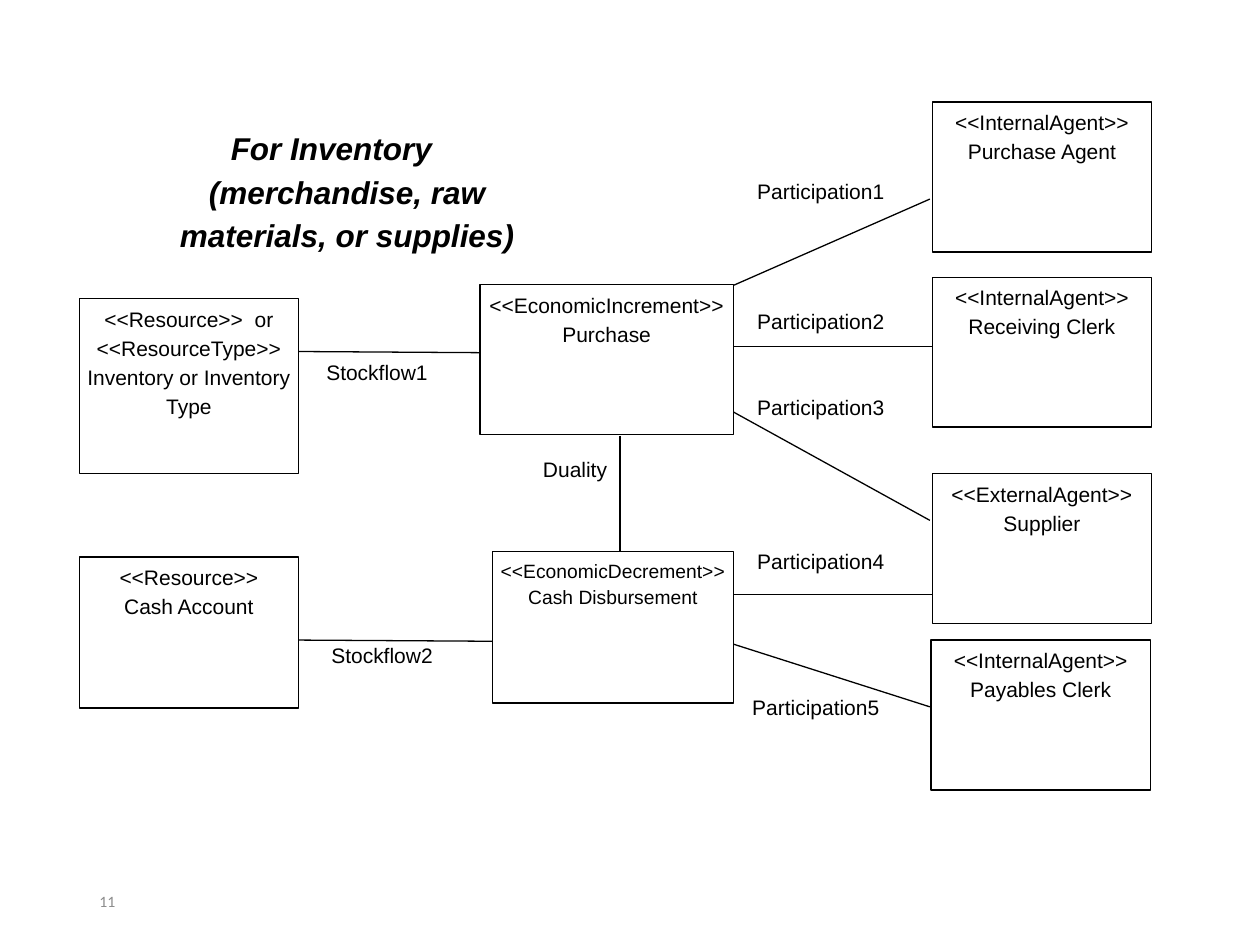
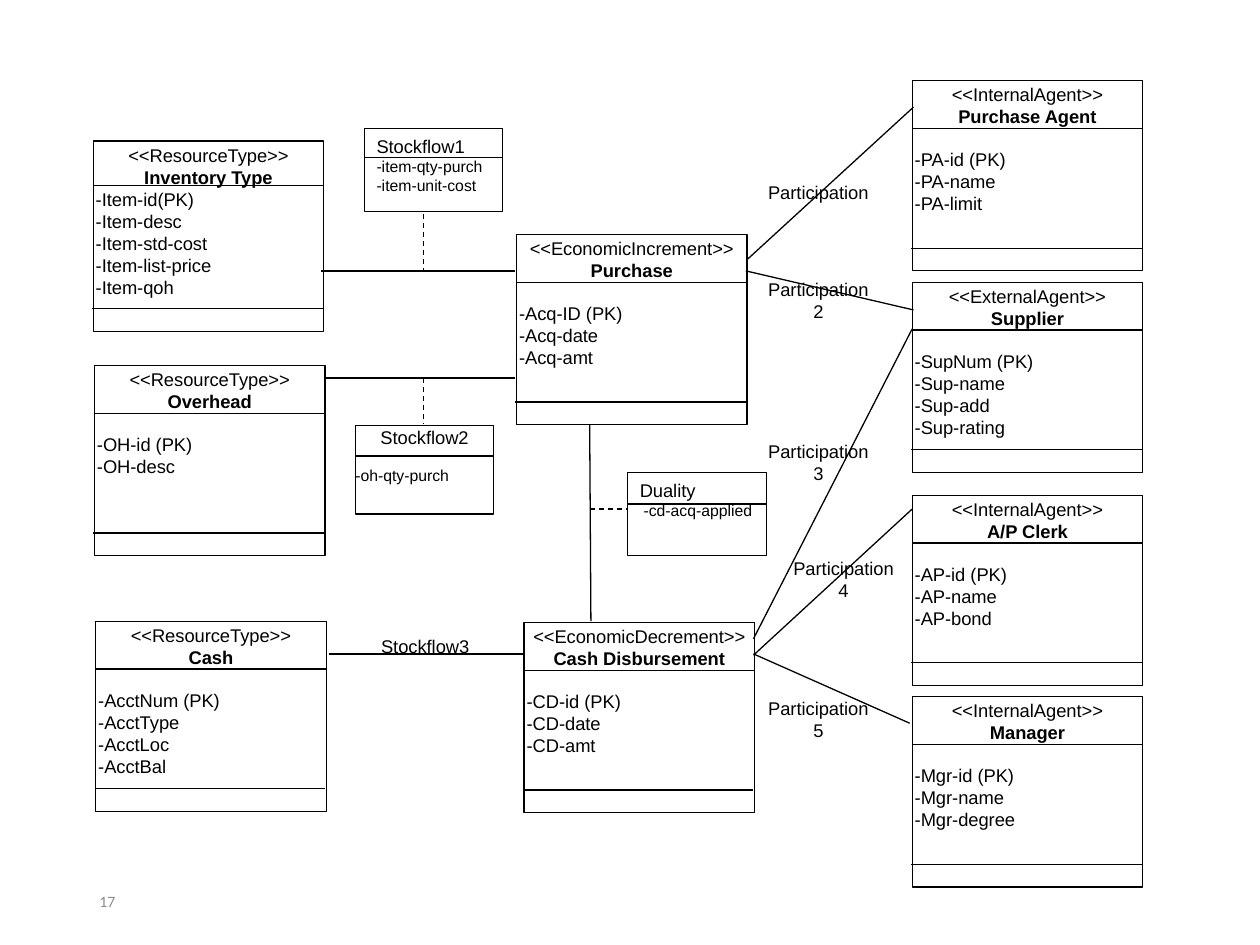
"""Build two slides modelling the acquisition cycle: an overview and a class diagram."""

from lxml.etree import SubElement
from pptx import Presentation
from pptx.dml.color import RGBColor
from pptx.enum.dml import MSO_LINE_DASH_STYLE as Dash
from pptx.enum.shapes import MSO_CONNECTOR as Connector, MSO_SHAPE as Preset
from pptx.enum.text import MSO_ANCHOR as Anchor, MSO_AUTO_SIZE as AutoSize, PP_ALIGN as Align
from pptx.oxml.ns import qn
from pptx.util import Inches, Pt

THEME = {
    "ink": RGBColor(0, 0, 0),
    "paper": RGBColor(255, 255, 255),
    "muted": RGBColor(0x8C, 0x8C, 0x8C),
    "border": 0.75,
    "thin": 0.5,
    "base": {"name": "Arial", "size": Pt(12), "bold": False, "italic": False,
             "alignment": Align.LEFT, "line_spacing": 1.0,
             "space_before": Pt(0), "space_after": Pt(0)},
    "title": {"size": Pt(18), "bold": True, "italic": True,
              "alignment": Align.CENTER, "line_spacing": 1.15},
    "number": {"name": "Calibri", "size": Pt(9)},
    "label": {"line_spacing": 1.15, "space_after": Pt(10)},
    "entity": {"alignment": Align.CENTER, "line_spacing": 1.15},
    "class": {"size": Pt(10.5)},
    "heading": {"size": Pt(10.5), "alignment": Align.CENTER},
    "detail": {"size": Pt(9)},
}


def add_block(slide, bounds, rows, insets, border=0, fill="paper", ink="ink",
              anchor=Anchor.TOP, holder=None):
    """Place a rectangle, or the given holder, and write its formatted rows."""
    block = holder or slide.shapes.add_shape(Preset.RECTANGLE, 0, 0, 0, 0)
    for side, value in zip(("left", "top", "width", "height"), bounds):
        setattr(block, side, Inches(value))
    if holder is None:
        block.shadow.inherit = False
    if fill:
        block.fill.solid()
        block.fill.fore_color.rgb = THEME[fill]
    else:
        block.fill.background()
    if border:
        block.line.color.rgb = THEME["ink"]
        block.line.width = Pt(border)
    else:
        block.line.fill.background()
    frame = block.text_frame
    frame.word_wrap, frame.auto_size, frame.vertical_anchor = True, AutoSize.NONE, anchor
    for side, value in zip(("left", "top", "right", "bottom"), insets):
        setattr(frame, f"margin_{side}", Inches(value))
    for index, (text, style) in enumerate(rows):
        paragraph = frame.add_paragraph() if index else frame.paragraphs[0]
        run = paragraph.add_run()
        run.text = text
        for key, value in (THEME["base"] | style).items():
            setattr(paragraph if hasattr(paragraph, key) else run.font, key, value)
        run.font.color.rgb = THEME[ink]
    return block


def add_link(slide, start, end, dash=None):
    """Draw a straight black line between two points."""
    link = slide.shapes.add_connector(Connector.STRAIGHT, *map(Inches, (*start, *end)))
    link.line.color.rgb = THEME["ink"]
    link.line.width = Pt(THEME["border"])
    if dash:
        link.line.dash_style = dash
    SubElement(link._element.spPr, qn("a:effectLst"))


deck = Presentation()
deck.slide_width, deck.slide_height = Inches(10), Inches(7.5)
overview = deck.slides.add_slide(deck.slide_layouts[5])
diagram = deck.slides.add_slide(deck.slide_layouts[6])

for slide, number in ((overview, "11"), (diagram, "17")):
    add_block(slide, (0.69, 6.95, 2.25, 0.4), [(number, THEME["number"])],
              (0.1, 0.05, 0.1, 0.05), fill=None, ink="muted", anchor=Anchor.MIDDLE)

heading = add_block(
    overview, (0.57, 0.98, 3.87, 1.01),
    [("For Inventory", THEME["title"]),
     ("(merchandise, raw materials, or supplies)", THEME["title"] | {"space_after": Pt(10)})],
    (0, 0, 0, 0), holder=overview.shapes.title)
heading_indent = heading.text_frame.paragraphs[0]._p.get_or_add_pPr()
heading_indent.set("marL", str(Inches(0.5)))
heading_indent.set("indent", str(Inches(-0.25)))

associations = [
    ("Duality", 4.28, 3.56, 0.94, 0.77),
    ("Participation5", 5.94, 5.45, 1.71, 0.57),
    ("Participation4", 5.98, 4.29, 1.7, 0.57),
    ("Participation3", 5.98, 3.07, 1.71, 0.57),
    ("Participation2", 5.98, 2.39, 1.7, 0.57),
    ("Participation1", 5.98, 1.36, 1.7, 0.57),
    ("Stockflow2", 2.6, 5.04, 1.35, 0.57),
    ("Stockflow1", 2.56, 2.79, 1.35, 0.57),
]
for name, *bounds in associations:
    add_block(overview, bounds, [(name, THEME["label"])], (0.03,) * 4)

overview_links = [
    ((2.37, 2.79), (3.98, 2.8)),
    ((2.37, 5.08), (3.98, 5.09)),
    ((5.81, 2.27), (7.38, 1.58)),
    ((5.73, 3.22), (7.38, 4.13)),
    ((5.72, 5.08), (7.38, 5.61)),
    ((5.7, 2.75), (7.41, 2.75)),
    ((5.81, 4.72), (7.4, 4.72)),
    ((4.92, 3.46), (4.92, 4.37)),
]
for start, end in overview_links:
    add_link(overview, start, end)

entities = [
    ((0.63, 2.37, 1.74, 1.39), "<<Resource>>  or <<ResourceType>>", "Inventory or Inventory Type", 12, 0.05),
    ((7.4, 0.81, 1.74, 1.19), "<<InternalAgent>>", "Purchase Agent", 12, 0.05),
    ((0.63, 4.42, 1.74, 1.2), "<<Resource>>", "Cash Account", 12, 0.05),
    ((7.4, 2.2, 1.74, 1.19), "<<InternalAgent>>", "Receiving Clerk", 12, 0.05),
    ((7.39, 5.08, 1.74, 1.19), "<<InternalAgent>>", "Payables Clerk", 12, 0.05),
    ((7.4, 3.76, 1.74, 1.19), "<<ExternalAgent>>", "Supplier", 12, 0.05),
    ((3.91, 4.38, 1.91, 1.2), "<<EconomicDecrement>>", "Cash Disbursement", 11, 0.03),
    ((3.81, 2.26, 2.01, 1.19), "<<EconomicIncrement>>", "Purchase", 12, 0.05),
]
for bounds, stereotype, name, size, side in entities:
    style = THEME["entity"] | {"size": Pt(size)}
    add_block(overview, bounds, [(stereotype, style), (name, style | {"space_after": Pt(10)})],
              (side, 0.03, side, 0.03), THEME["border"])

classes = [
    (7.24, 5.53, "<<InternalAgent>>", "Manager", ["-Mgr-id (PK)", "-Mgr-name", "-Mgr-degree"]),
    (4.1, 1.86, "<<EconomicIncrement>>", "Purchase", ["-Acq-ID (PK)", "-Acq-date", "-Acq-amt"]),
    (4.16, 4.94, "<<EconomicDecrement>>", "Cash Disbursement", ["-CD-id (PK)", "-CD-date", "-CD-amt"]),
    (0.75, 2.9, "<<ResourceType>>", "Overhead", ["-OH-id (PK)", "-OH-desc"]),
    (0.74, 1.12, "<<ResourceType>>", "Inventory Type",
     ["-Item-id(PK)", "-Item-desc", "-Item-std-cost", "-Item-list-price", "-Item-qoh"]),
    (0.76, 4.93, "<<ResourceType>>", "Cash", ["-AcctNum (PK)", "-AcctType", "-AcctLoc", "-AcctBal"]),
    (7.24, 0.64, "<<InternalAgent>>", "Purchase Agent", ["-PA-id (PK)", "-PA-name", "-PA-limit"]),
    (7.24, 2.24, "<<ExternalAgent>>", "Supplier", ["-SupNum (PK)", "-Sup-name", "-Sup-add", "-Sup-rating"]),
    (7.24, 3.93, "<<InternalAgent>>", "A/P Clerk", ["-AP-id (PK)", "-AP-name", "-AP-bond"]),
]
class_width, class_height = 1.83, 1.51
for left, top, stereotype, name, attributes in classes:
    crowded = len(attributes) > 4
    gap = Pt(0 if crowded else 12)
    rows = [(stereotype, THEME["heading"]), (name, THEME["heading"] | {"bold": True}),
            (attributes[0], THEME["class"] | {"space_before": gap})]
    rows += [(attribute, THEME["class"]) for attribute in attributes[1:]]
    add_block(diagram, (left, top, class_width, class_height), rows, (0.02,) * 4, THEME["border"])
    for shift, drop in ((0, 0.35 if crowded else 0.38), (-0.01, 1.33)):
        add_link(diagram, (left + shift, top + drop), (left + shift + class_width, top + drop))

diagram_links = [
    ((2.61, 5.19), (4.17, 5.19), None),
    ((4.69, 4.93), (4.68, 3.37), None),
    ((5.93, 2.06), (7.25, 0.85), None),
    ((5.92, 2.15), (7.25, 2.46), None),
    ((5.98, 5.07), (7.24, 2.61), None),
    ((5.98, 5.2), (7.24, 4.04), None),
    ((5.98, 5.19), (7.22, 5.74), None),
    ((2.55, 2.15), (4.09, 2.15), None),
    ((2.57, 3), (4.09, 3), None),
    ((3.36, 1.7), (3.36, 2.15), Dash.DASH),
    ((3.36, 3), (3.36, 3.36), Dash.DASH),
    ((4.68, 4.04), (4.98, 4.04), Dash.DASH),
]
for start, end, dash in diagram_links:
    add_link(diagram, start, end, dash)

roles = [
    ("Stockflow3", 2.97, 5.04),
    ("Participation", 6.09, 1.44),
    ("Participation2", 6.09, 2.21),
    ("Participation3", 6.09, 3.49),
    ("Participation4", 6.29, 4.42),
    ("Participation5", 6.09, 5.53),
]
for name, left, top in roles:
    add_block(diagram, (left, top, 0.81, 0.26), [(name, THEME["heading"])], (0,) * 4, fill=None)

padded, flush = (0.1, 0.05, 0.1, 0.05), (0, 0, 0, 0)
association_classes = [
    ((2.82, 3.38, 1.1, 0.7), "Stockflow2", ["-oh-qty-purch"], "heading", flush, "border", 10.5, 0, 0.24),
    ((4.98, 3.75, 1.1, 0.66), "Duality", ["-cd-acq-applied"], "class", padded, "thin", 0, 0.03, 0.25),
    ((2.89, 1.02, 1.1, 0.66), "Stockflow1", ["-item-qty-purch", "-item-unit-cost"],
     "class", padded, "thin", 0, 0, 0.23),
]
for bounds, name, attributes, style, insets, border, gap, indent, drop in association_classes:
    rows = [(name, THEME[style])]
    rows += [(attribute, THEME["detail"] | {"space_before": Pt(gap)}) for attribute in attributes]
    association = add_block(diagram, bounds, rows, insets, THEME[border])
    for paragraph in association.text_frame.paragraphs[1:]:
        paragraph._p.get_or_add_pPr().set("marL", str(Inches(indent)))
    left, top, width, _ = bounds
    add_link(diagram, (left, top + drop), (left + width, top + drop))

deck.save("out.pptx")
